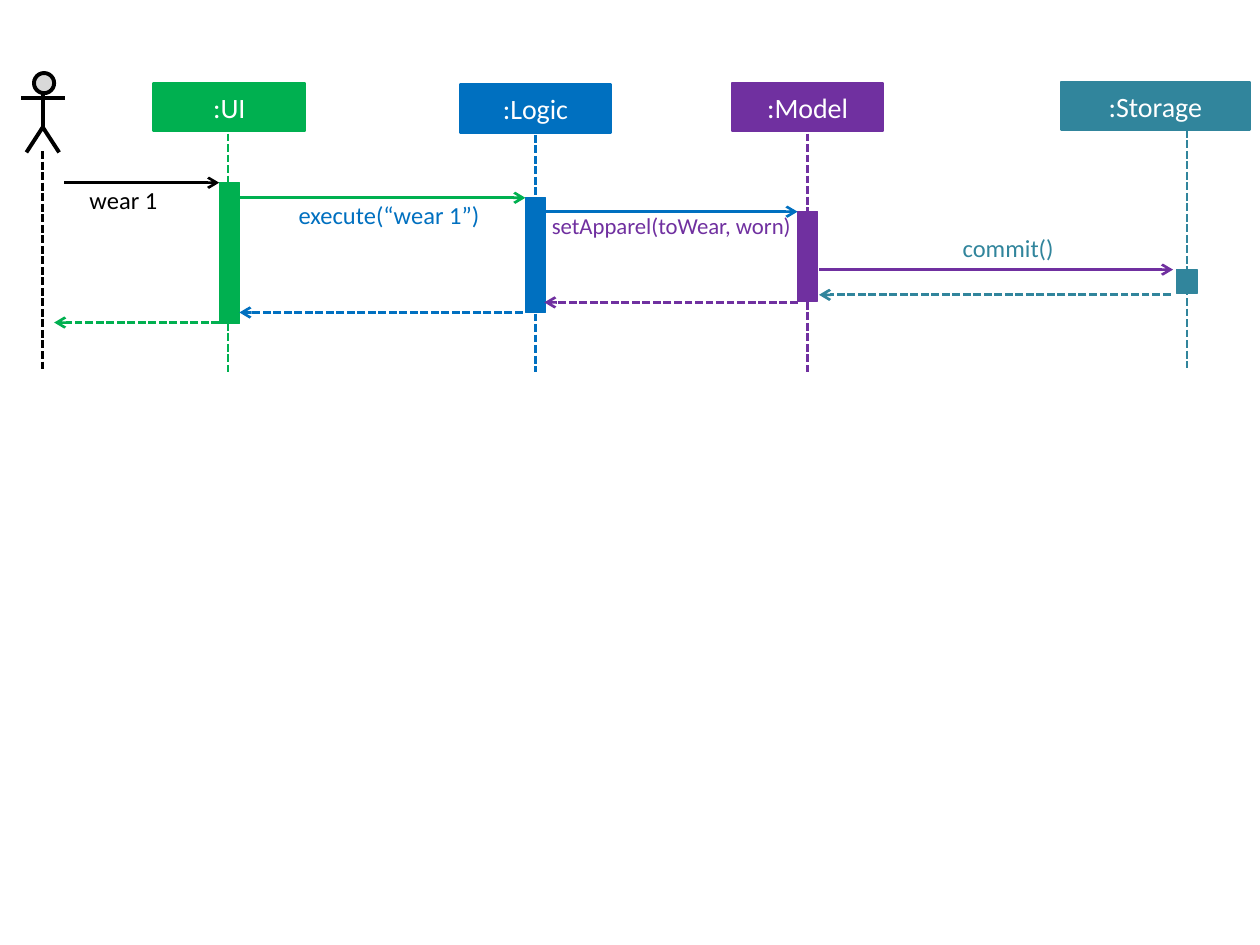
from dataclasses import dataclass

from lxml import etree
from pptx import Presentation
from pptx.dml.color import RGBColor
from pptx.enum import dml, shapes, text
from pptx.oxml.ns import qn
from pptx.util import Inches, Pt

BLACK = RGBColor(0x00, 0x00, 0x00)
WHITE = RGBColor(0xFF, 0xFF, 0xFF)
GREY = RGBColor(0xD9, 0xD9, 0xD9)
GREEN = RGBColor(0x00, 0xB0, 0x50)
BLUE = RGBColor(0x00, 0x70, 0xC0)
PURPLE = RGBColor(0x70, 0x30, 0xA0)
TEAL = RGBColor(0x31, 0x85, 0x9C)

FONT = "Calibri"
HEADER_HEIGHT = 0.38
BAR_WIDTH = 0.16
ACTOR_X = 0.34


@dataclass
class Participant:
    name: str
    color: RGBColor
    left: float
    top: float
    width: float
    life_x: float
    life_top: float
    life_bottom: float
    bar_left: float
    bar_top: float
    bar_height: float


@dataclass
class Message:
    start: float
    end: float
    y: float
    color: RGBColor
    is_return: bool = False


@dataclass
class Label:
    text: str
    color: RGBColor
    left: float
    top: float
    width: float
    height: float = 0.24
    size: int = 14
    centered: bool = False
    indent: float = 0


PARTICIPANTS = [
    Participant(":UI", GREEN, 1.22, 0.66, 1.2, 1.81, 1.06, 2.95, 1.74, 1.45, 1.12),
    Participant(":Logic", BLUE, 3.65, 0.67, 1.2, 4.25, 1.07, 2.95, 4.17, 1.57, 0.91),
    Participant(":Model", PURPLE, 5.81, 0.66, 1.2, 6.41, 1.06, 2.95, 6.33, 1.68, 0.71),
    Participant(":Storage", TEAL, 8.42, 0.65, 1.5, 9.42, 1.03, 2.92, 9.34, 2.14, 0.19),
]

MESSAGES = [
    Message(0.51, 1.74, 1.45, BLACK),
    Message(1.9, 4.17, 1.57, GREEN),
    Message(4.32, 6.33, 1.68, BLUE),
    Message(6.5, 9.31, 2.14, PURPLE),
    Message(9.29, 6.5, 2.34, TEAL, is_return=True),
    Message(6.33, 4.32, 2.4, PURPLE, is_return=True),
    Message(4.15, 1.9, 2.48, BLUE, is_return=True),
    Message(1.74, 0.43, 2.56, GREEN, is_return=True),
]

LABELS = [
    Label("wear 1", BLACK, 0.51, 1.47, 0.94, centered=True),
    Label("execute(“wear 1”)", BLUE, 2.37, 1.59, 1.56),
    Label("setApparel(toWear, worn)", PURPLE, 4.38, 1.68, 2.06, 0.22, size=13),
    Label("commit()", TEAL, 6.64, 1.85, 2.67, indent=1),
]


def add_line(parent, x1: float, y1: float, x2: float, y2: float, color: RGBColor,
             weight: float = 1.5, dashed: bool = False, arrow: bool = False) -> None:
    s = parent.add_connector(shapes.MSO_CONNECTOR.STRAIGHT,
                             Inches(x1), Inches(y1), Inches(x2), Inches(y2))
    s.line.color.rgb = color
    s.line.width = Pt(weight)
    if dashed:
        s.line.dash_style = dml.MSO_LINE.SQUARE_DOT
    if arrow:
        etree.SubElement(s.line._get_or_add_ln(), qn("a:tailEnd"), type="arrow")
    etree.SubElement(s._element.spPr, qn("a:effectLst"))


def add_block(parent, kind: shapes.MSO_SHAPE, left: float, top: float, width: float,
              height: float, fill: RGBColor, line: RGBColor, weight: float):
    s = parent.add_shape(kind, Inches(left), Inches(top), Inches(width), Inches(height))
    s.shadow.inherit = False
    s.fill.solid()
    s.fill.fore_color.rgb = fill
    s.line.color.rgb = line
    s.line.width = Pt(weight)
    return s


def set_text(p, content: str, size: int, color: RGBColor, centered: bool) -> None:
    p.text = content
    p.alignment = text.PP_ALIGN.CENTER if centered else text.PP_ALIGN.LEFT
    p.font.name = FONT
    p.font.size = Pt(size)
    p.font.color.rgb = color


def add_participant(parent, item: Participant) -> None:
    rect = shapes.MSO_SHAPE.RECTANGLE
    s = add_block(parent, rect, item.left, item.top, item.width, HEADER_HEIGHT,
                  item.color, item.color, 1.5)
    s.text_frame.vertical_anchor = text.MSO_ANCHOR.MIDDLE
    set_text(s.text_frame.paragraphs[0], item.name, 16, WHITE, centered=True)
    add_line(parent, item.life_x, item.life_top, item.life_x, item.life_bottom,
             item.color, dashed=True)
    add_block(parent, rect, item.bar_left, item.bar_top, BAR_WIDTH, item.bar_height,
              item.color, item.color, 0.75)


def add_actor(parent) -> None:
    figure = parent.add_group_shape().shapes
    add_block(figure, shapes.MSO_SHAPE.FLOWCHART_CONNECTOR, 0.27, 0.58, 0.16, 0.16,
              GREY, BLACK, 2.25)
    add_line(figure, ACTOR_X, 0.74, ACTOR_X, 1.02, BLACK, 2.25)
    builder = figure.build_freeform(Inches(0.21), Inches(1.21))
    builder.add_line_segments([(Inches(ACTOR_X), Inches(1.01)),
                               (Inches(0.47), Inches(1.21))], close=False)
    legs = builder.convert_to_shape()
    legs.shadow.inherit = False
    legs.fill.background()
    legs.line.color.rgb = BLACK
    legs.line.width = Pt(2.25)
    add_line(figure, 0.17, 0.78, 0.52, 0.78, BLACK, 2.25)
    add_line(parent, ACTOR_X, 1.2, ACTOR_X, 2.95, BLACK, dashed=True)


def add_label(parent, label: Label) -> None:
    s = parent.add_textbox(Inches(label.left), Inches(label.top),
                           Inches(label.width), Inches(label.height))
    tf = s.text_frame
    tf.word_wrap = True
    tf.auto_size = text.MSO_AUTO_SIZE.SHAPE_TO_FIT_TEXT
    tf.margin_left = Inches(label.indent)
    tf.margin_top = tf.margin_right = tf.margin_bottom = 0
    set_text(tf.paragraphs[0], label.text, label.size, label.color, label.centered)


def main() -> None:
    prs = Presentation()
    prs.slide_width, prs.slide_height = Inches(10), Inches(7.5)
    canvas = prs.slides.add_slide(prs.slide_layouts[6]).shapes

    # Actor and participants with their lifelines
    add_actor(canvas)
    for item in PARTICIPANTS:
        add_participant(canvas, item)

    # Calls, returns and their labels
    for msg in MESSAGES:
        add_line(canvas, msg.start, msg.y, msg.end, msg.y, msg.color,
                 dashed=msg.is_return, arrow=True)
    for label in LABELS:
        add_label(canvas, label)

    prs.save("out.pptx")


if __name__ == "__main__":
    main()
